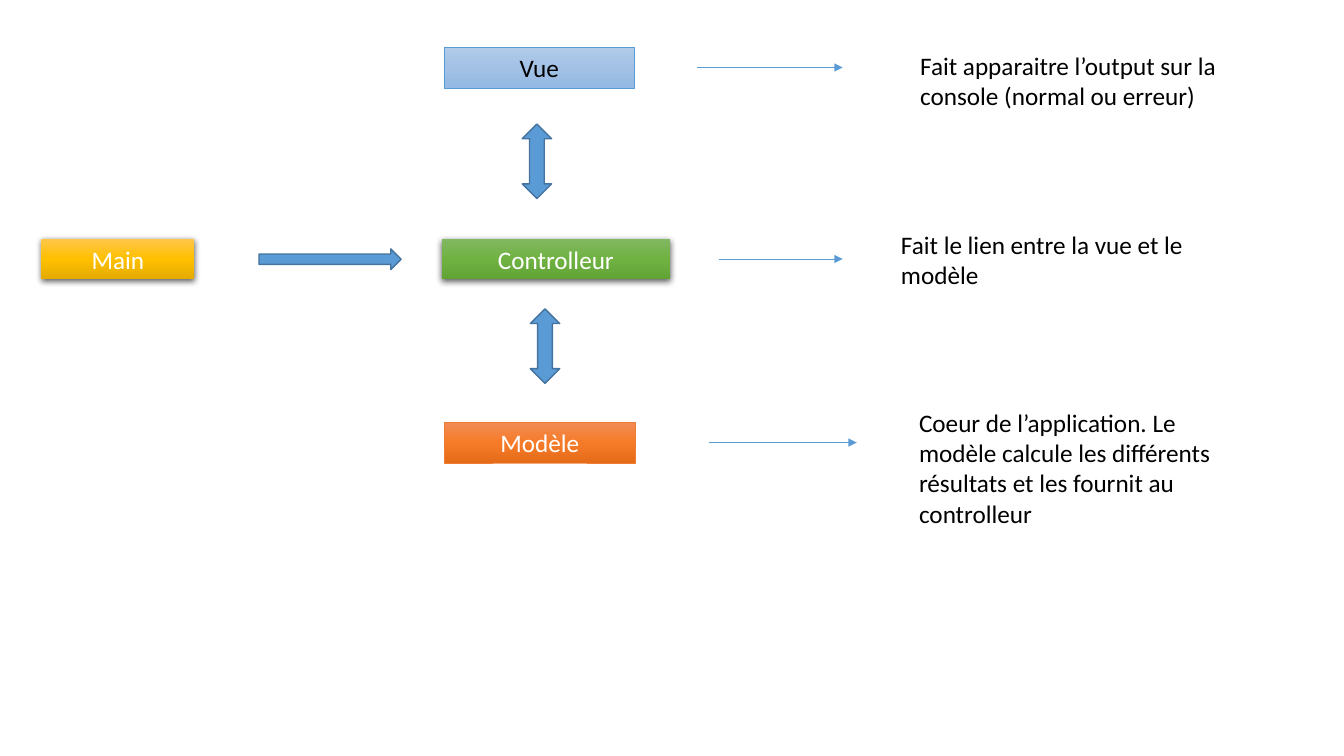
import copy

import pptx
import pptx.dml.color
import pptx.enum.shapes
import pptx.enum.text
import pptx.oxml
import pptx.oxml.ns
import pptx.util

Pt = pptx.util.Pt
SHAPES = pptx.enum.shapes.MSO_SHAPE
ALIGN = pptx.enum.text.PP_ALIGN
BLUE = "5B9BD5"
DARK_BLUE = "43739E"
NAMESPACE = pptx.oxml.ns.nsdecls("a")


def color(hex_value):
    return pptx.dml.color.RGBColor.from_string(hex_value)


def write_text(shape, text, *, font="Calibri", size=18, ink="000000", align=ALIGN.LEFT):
    frame = shape.text_frame
    frame.word_wrap = True
    frame.auto_size = pptx.enum.text.MSO_AUTO_SIZE.SHAPE_TO_FIT_TEXT
    paragraph = frame.paragraphs[0]
    paragraph.alignment = align
    run = paragraph.add_run()
    run.text = text
    run.font.name = font
    run.font.size = Pt(size)
    run.font.color.rgb = color(ink)


class Diagram:
    """Draws the diagram's elements on one slide; lengths are in points."""

    def __init__(self, slide):
        self.slide = slide
        self.shapes = slide.shapes

    def add_shape(self, kind, bounds):
        shape = self.shapes.add_shape(kind, *map(Pt, bounds))
        shape.shadow.inherit = False
        return shape

    def outline(self, shape, hex_value, width):
        shape.line.color.rgb = color(hex_value)
        shape.line.width = Pt(width)

    def component(self, text, left, top, width, gradient, ink="FFFFFF", border=None):
        """A gradient box, with a thin border or else a soft shadow."""
        shape = self.add_shape(SHAPES.RECTANGLE, (left, top, width, 29.08))
        shape.fill.gradient()
        shape.fill.gradient_angle = 270
        stop_list = shape.element.spPr.find(".//" + pptx.oxml.ns.qn("a:gsLst"))
        stop_list.append(copy.deepcopy(stop_list[0]))
        for index, stop in enumerate(shape.fill.gradient_stops):
            stop.position = index / 2
            stop.color.rgb = color(gradient[index])
        if border:
            self.outline(shape, border, 0.5)
        else:
            shape.line.fill.background()
            self.soft_shadow(shape)
        write_text(shape, text, ink=ink, align=ALIGN.CENTER)

    def soft_shadow(self, shape):
        effects = shape.element.spPr.find(pptx.oxml.ns.qn("a:effectLst"))
        effects.append(pptx.oxml.parse_xml(
            f'<a:outerShdw {NAMESPACE} blurRad="{Pt(4.5)}" dist="{Pt(1.5)}" '
            'dir="5400000" algn="ctr" rotWithShape="0"><a:srgbClr val="000000">'
            '<a:alpha val="63000"/></a:srgbClr></a:outerShdw>'))

    def block_arrow(self, kind, *bounds):
        shape = self.add_shape(kind, bounds)
        shape.fill.solid()
        shape.fill.fore_color.rgb = color(BLUE)
        self.outline(shape, DARK_BLUE, 1)

    def thin_arrow(self, start, end, y):
        connector = self.shapes.add_connector(
            pptx.enum.shapes.MSO_CONNECTOR.STRAIGHT, Pt(start), Pt(y), Pt(end), Pt(y))
        self.outline(connector, BLUE, 0.5)
        connector.line._get_or_add_ln().append(
            pptx.oxml.parse_xml(f'<a:tailEnd {NAMESPACE} type="triangle"/>'))
        connector.element.spPr.append(
            pptx.oxml.parse_xml(f"<a:effectLst {NAMESPACE}/>"))

    def note(self, text, *bounds):
        write_text(self.shapes.add_textbox(*map(Pt, bounds)), text)


def main():
    presentation = pptx.Presentation()
    presentation.slide_width = Pt(960)
    presentation.slide_height = Pt(540)
    diagram = Diagram(presentation.slides.add_slide(presentation.slide_layouts[6]))

    # Components
    diagram.component("Controlleur", 315.4, 170.6, 163.4, ("81B861", "6FB242", "62A336"))
    diagram.component("Vue", 317.5, 33.8, 135.4, ("B1CBE9", "A3C1E5", "93B9E4"),
                      ink="000000", border=BLUE)
    diagram.component("Modèle", 317.5, 301.7, 136.1, ("F18C57", "F67B28", "E56C19"),
                      border="ED7D31")
    diagram.component("Main", 29.5, 170.6, 109.4, ("FFC64B", "FFC000", "E3AB00"))

    # Arrows from each component to its description
    for start, end, y in ((498.2, 601.9, 48.2), (506.2, 612, 316.1), (513.4, 601.9, 185)):
        diagram.thin_arrow(start, end, y)

    # Descriptions
    diagram.note("Fait apparaitre l’output sur la console (normal ou erreur)",
                 650.2, 32.4, 263.5, 51)
    diagram.note("Fait le lien entre la vue et le modèle", 636.5, 160, 260, 51)
    diagram.note("Coeur de l’application. Le modèle calcule les différents résultats "
                 "et les fournit au controlleur", 649.4, 287.3, 253.4, 94.3)

    # Flow between components
    diagram.block_arrow(SHAPES.RIGHT_ARROW, 185, 177.8, 101.5, 14.8)
    for left, top in ((375.2, 88.6), (381, 220.6)):
        diagram.block_arrow(SHAPES.UP_DOWN_ARROW, left - 2.2, top, 21, 53.3)

    presentation.save("out.pptx")


if __name__ == "__main__":
    main()
